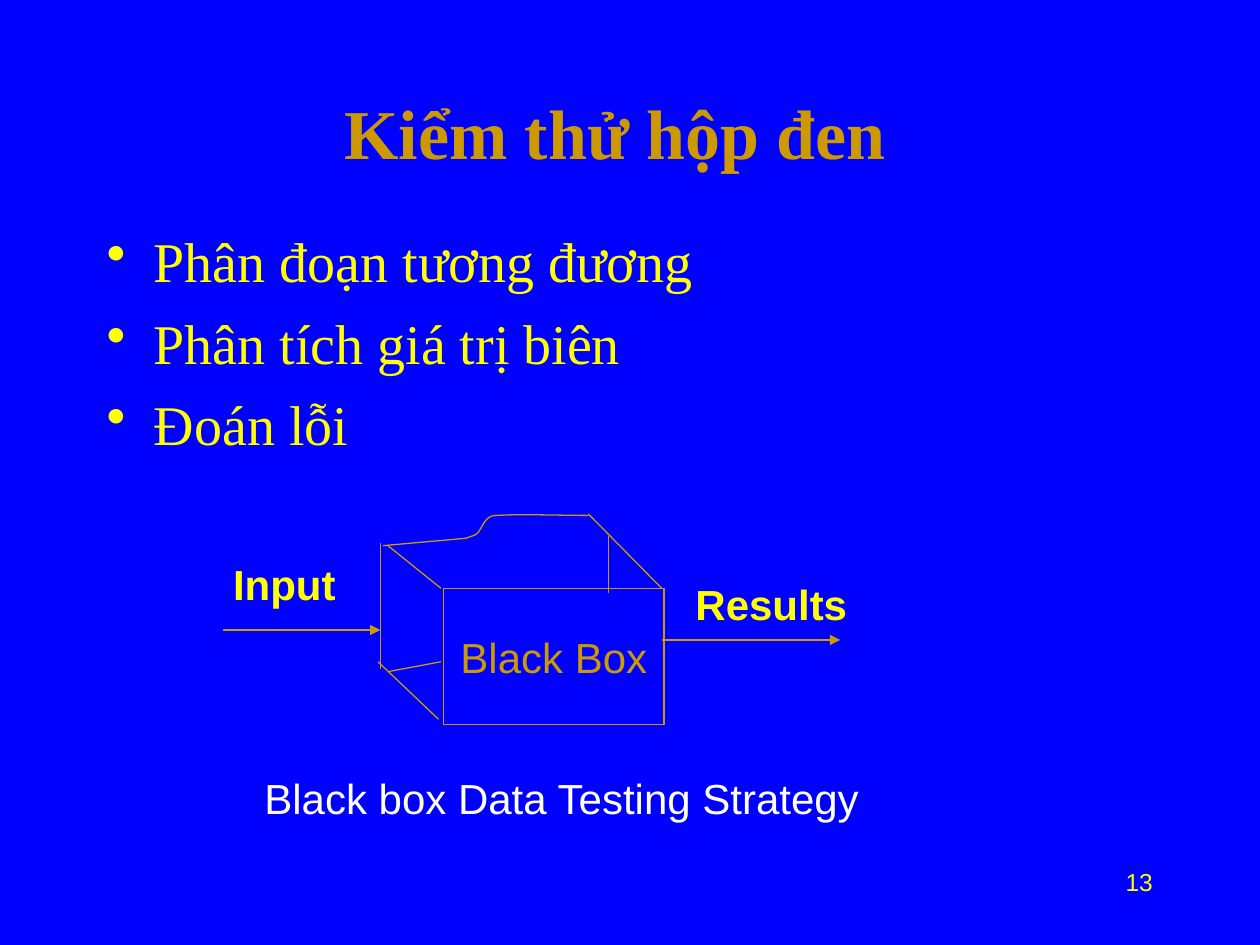
from lxml import etree
from pptx import Presentation
from pptx import util as u
from pptx.dml.color import RGBColor
from pptx.enum import shapes, text
from pptx.oxml.ns import qn

COLORS = {"back": "0000FF", "gold": "CC9900", "yellow": "FFFF00", "white": "FFFFFF"}
SERIF, SANS = "Times New Roman", "Arial"


def rgb(name):
    return RGBColor.from_string(COLORS[name])


def bezier(p0, p1, p2, p3, steps=12):
    """Points on a cubic curve, without its start."""
    for i in range(1, steps + 1):
        t = i / steps
        w = ((1 - t) ** 3, 3 * t * (1 - t) ** 2, 3 * t * t * (1 - t), t ** 3)
        yield tuple(sum(k * p[axis] for k, p in zip(w, (p0, p1, p2, p3)))
                    for axis in (0, 1))


class Deck:
    line_width = u.Pt(0.75)

    def __init__(self, prs):
        self.s = prs.slides.add_slide(prs.slide_layouts[6])
        fill = self.s.background.fill
        fill.solid()
        fill.fore_color.rgb = rgb("back")

    def stroke(self, sp):
        sp.line.color.rgb = rgb("gold")
        sp.line.width = self.line_width

    def fill_text(self, tf, lines, color, font, para=None, frame=None):
        for name, value in {"word_wrap": True, **(frame or {})}.items():
            setattr(tf, name, value)
        for i, line in enumerate(lines):
            p = tf.add_paragraph() if i else tf.paragraphs[0]
            for name, value in (para or {}).items():
                setattr(p, name, value)
            r = p.add_run()
            r.text = line
            for name, value in font.items():
                setattr(r.font, name, value)
            r.font.color.rgb = rgb(color)
        return tf

    def text(self, box, lines, color, font, para=None, frame=None):
        sp = self.s.shapes.add_textbox(*map(u.Cm, box))
        return self.fill_text(sp.text_frame, lines, color, font, para, frame)

    def bullets(self, box, lines, color, font, para, indent):
        tf = self.text(box, lines, color, font, para)
        for p in tf.paragraphs:
            pPr = p._p.get_or_add_pPr()
            pPr.set("marL", str(u.Cm(indent)))
            pPr.set("indent", str(-u.Cm(indent)))
            clr = etree.SubElement(pPr, qn("a:buClr"))
            etree.SubElement(clr, qn("a:srgbClr"), val=COLORS[color])
            etree.SubElement(pPr, qn("a:buChar"), char="•")

    def rect(self, box, lines, color, font, para, frame):
        sp = self.s.shapes.add_shape(shapes.MSO_SHAPE.RECTANGLE, *map(u.Cm, box))
        sp.shadow.inherit = False
        sp.fill.background()
        self.stroke(sp)
        self.fill_text(sp.text_frame, lines, color, font, para, frame)

    def line(self, ends, arrow=False):
        sp = self.s.shapes.add_connector(shapes.MSO_CONNECTOR.STRAIGHT, *map(u.Cm, ends))
        self.stroke(sp)
        spPr = sp._element.spPr
        if arrow:
            etree.SubElement(spPr.find(qn("a:ln")), qn("a:tailEnd"), type="triangle")
        etree.SubElement(spPr, qn("a:effectLst"))

    def curve(self, start, segments):
        points = [start]
        for segment in segments:
            points += list(bezier(points[-1], *segment))
        points = [(u.Cm(x), u.Cm(y)) for x, y in points]
        fb = self.s.shapes.build_freeform(*points[0])
        fb.add_line_segments(points[1:], close=False)
        sp = fb.convert_to_shape()
        sp.shadow.inherit = False
        sp.fill.background()
        self.stroke(sp)


def main():
    prs = Presentation()
    prs.slide_width, prs.slide_height = u.Cm(25.4), u.Cm(19.05)
    d = Deck(prs)
    center = {"alignment": text.PP_ALIGN.CENTER}
    middle = {"vertical_anchor": text.MSO_ANCHOR.MIDDLE}
    spaced = {"space_before": u.Pt(15)}
    grow = {"auto_size": text.MSO_AUTO_SIZE.SHAPE_TO_FIT_TEXT}
    plain = {"name": SANS, "size": u.Pt(24)}

    # Title and list
    d.text((4.88, 1.07, 15.04, 3.18), ["Kiểm thử hộp đen"], "gold",
           {"name": SERIF, "size": u.Pt(40), "bold": True}, center, middle)
    d.bullets((1.9, 4.45, 21.59, 12.5),
              ["Phân đoạn tương đương", "Phân tích giá trị biên", "Đoán lỗi"],
              "yellow", {"name": SERIF, "size": u.Pt(32)},
              {"space_before": u.Pt(8)}, 0.95)

    # Box: front face, edges, curved top
    d.rect((8.94, 11.86, 4.45, 2.74), ["Black Box"], "gold", plain, center,
           {**middle, "word_wrap": False})
    for edge in ((7.82, 11, 8.89, 11.86), (7.62, 13.34, 8.84, 14.5),
                 (7.67, 10.95, 7.67, 13.49), (13.34, 11.86, 11.86, 10.36),
                 (7.82, 13.54, 8.89, 13.34), (12.27, 10.8, 12.27, 11.96)):
        d.line(edge)
    d.curve((7.72, 11), [((8.28, 10.95), (8.84, 10.9), (9.4, 10.85)),
                         ((9.47, 10.82), (9.55, 10.8), (9.6, 10.77)),
                         ((9.73, 10.67), (9.75, 10.41), (9.98, 10.39)),
                         ((10.59, 10.36), (11.23, 10.39), (11.86, 10.39))])

    # Flow arrows and their labels
    d.line((4.5, 12.7, 7.67, 12.7), arrow=True)
    d.line((13.34, 12.9, 16.94, 12.9), arrow=True)
    tight = {**grow, "margin_top": u.Cm(0.03), "margin_bottom": u.Cm(0.03)}
    for label, box in (("Results", (13.77, 11.63, 4.01, 1.07)),
                       ("Input", (4.45, 11.23, 2.74, 1.07))):
        d.text(box, [label], "yellow", {**plain, "bold": True}, spaced, tight)

    # Caption and page number
    d.text((5.08, 15.44, 13.13, 1.27), ["Black box Data Testing Strategy"],
           "white", plain, spaced, grow)
    d.text((18.21, 17.35, 5.28, 1.27), ["13"], "yellow",
           {"name": SANS, "size": u.Pt(14)}, {"alignment": text.PP_ALIGN.RIGHT})
    prs.save("out.pptx")


if __name__ == "__main__":
    main()
